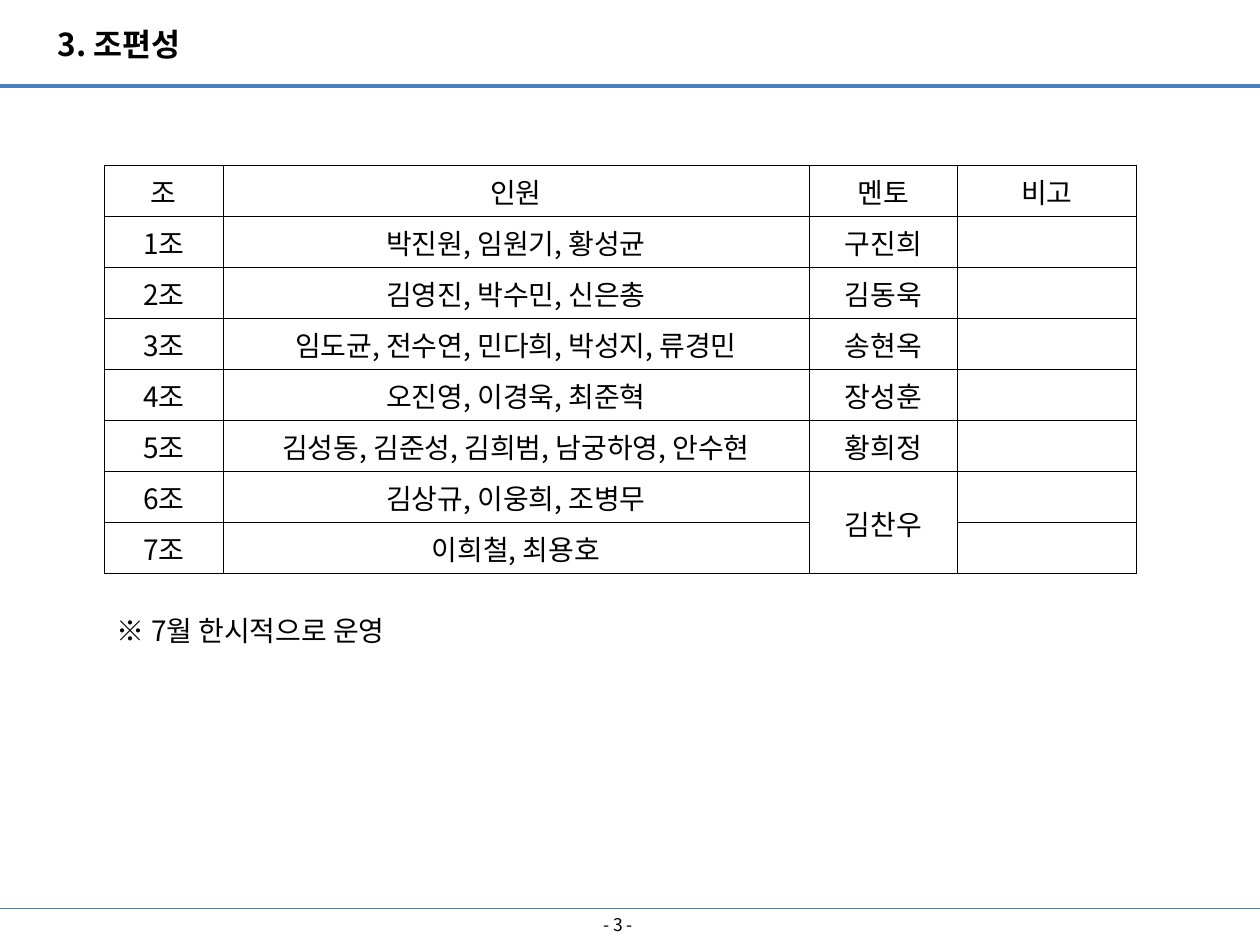
from lxml import etree
from pptx import Presentation
from pptx import util as u
from pptx.dml import color
from pptx.enum import shapes, text
from pptx.oxml import ns

COLORS = {"rule": "4B7EBC", "ink": "000000"}
FONT = "Noto Sans CJK KR"
HEADINGS = ["조", "인원", "멘토", "비고"]
GROUPS = [
    ("박진원, 임원기, 황성균", "구진희"),
    ("김영진, 박수민, 신은총", "김동욱"),
    ("임도균, 전수연, 민다희, 박성지, 류경민", "송현옥"),
    ("오진영, 이경욱, 최준혁", "장성훈"),
    ("김성동, 김준성, 김희범, 남궁하영, 안수현", "황희정"),
    ("김상규, 이웅희, 조병무", "김찬우"),
    ("이희철, 최용호", ""),
]
COLUMN_WIDTHS = [0.94, 4.65, 1.18, 1.42]


def rgb(name):
    return color.RGBColor.from_string(COLORS[name])


def write(frame, words, size, bold=False, align=text.PP_ALIGN.LEFT):
    paragraph = frame.paragraphs[0]
    paragraph.alignment = align
    run = paragraph.add_run()
    run.text = words
    run.font.color.rgb = rgb("ink")
    for key, value in {"size": u.Pt(size), "bold": bold, "name": FONT}.items():
        setattr(run.font, key, value)
    properties = run._r.get_or_add_rPr()
    etree.SubElement(properties, ns.qn("a:ea"), typeface=FONT)


def add_label(slide, box, words, size, wrap=False,
              anchor=text.MSO_ANCHOR.TOP, **style):
    frame = slide.shapes.add_textbox(*map(u.Inches, box)).text_frame
    frame.word_wrap = wrap
    frame.vertical_anchor = anchor
    write(frame, words, size, **style)


def add_rule(slide, top, width, weight):
    rule = slide.shapes.add_connector(
        shapes.MSO_CONNECTOR.STRAIGHT,
        0, u.Inches(top), u.Inches(width), u.Inches(top))
    rule.line.color.rgb = rgb("rule")
    rule.line.width = u.Pt(weight)
    etree.SubElement(rule._element.spPr, ns.qn("a:effectLst"))


def add_borders(cell, weight):
    properties = cell._tc.get_or_add_tcPr()
    for index, side in enumerate(("lnL", "lnR", "lnT", "lnB")):
        border = etree.Element(ns.qn(f"a:{side}"), w=str(u.Pt(weight)))
        fill = etree.SubElement(border, ns.qn("a:solidFill"))
        etree.SubElement(fill, ns.qn("a:srgbClr"), val=COLORS["ink"])
        properties.insert(index, border)


def add_group_table(slide, box):
    rows = [HEADINGS] + [
        [f"{number}조", members, mentor, ""]
        for number, (members, mentor) in enumerate(GROUPS, 1)]
    table = slide.shapes.add_table(
        len(rows), len(HEADINGS), *map(u.Inches, box)).table
    table.first_row = table.horz_banding = False
    for column, width in zip(table.columns, COLUMN_WIDTHS):
        column.width = u.Inches(width)
    for r, row in enumerate(rows):
        table.rows[r].height = u.Inches(box[3] / len(rows))
        for c, words in enumerate(row):
            cell = table.cell(r, c)
            cell.fill.background()
            cell.margin_bottom = u.Inches(0.03)
            add_borders(cell, 0.25)
            if words:
                write(cell.text_frame, words, 16, align=text.PP_ALIGN.CENTER)
    shared_mentor = table.cell(len(rows) - 2, 2)
    shared_mentor.merge(table.cell(len(rows) - 1, 2))
    shared_mentor.vertical_anchor = text.MSO_ANCHOR.MIDDLE


def add_header(slide, box):
    left, top, width, height = box
    add_rule(slide, top + height, width, 2.25)
    add_label(slide, (left + 0.36, top + 0.15, 1.26, 0.4), "3. 조편성", 18,
              bold=True)


def add_footer(slide, box):
    left, top, width, height = box
    add_rule(slide, top, width, 0.75)
    add_label(slide, (left + 3.74, top, 2.33, height), "- 3 -", 10, wrap=True,
              anchor=text.MSO_ANCHOR.MIDDLE, align=text.PP_ALIGN.CENTER)


def main():
    deck = Presentation()
    deck.slide_width, deck.slide_height = u.Inches(10), u.Inches(7.5)
    slide = deck.slides.add_slide(deck.slide_layouts[6])
    add_header(slide, (0, 0, 10, 0.68))
    add_footer(slide, (0, 7.21, 10, 0.26))
    add_group_table(slide, (0.83, 1.31, sum(COLUMN_WIDTHS), 3.24))
    add_label(slide, (0.83, 4.82, 2.54, 0.37), "※ 7월 한시적으로 운영", 16)
    deck.save("out.pptx")


if __name__ == "__main__":
    main()
